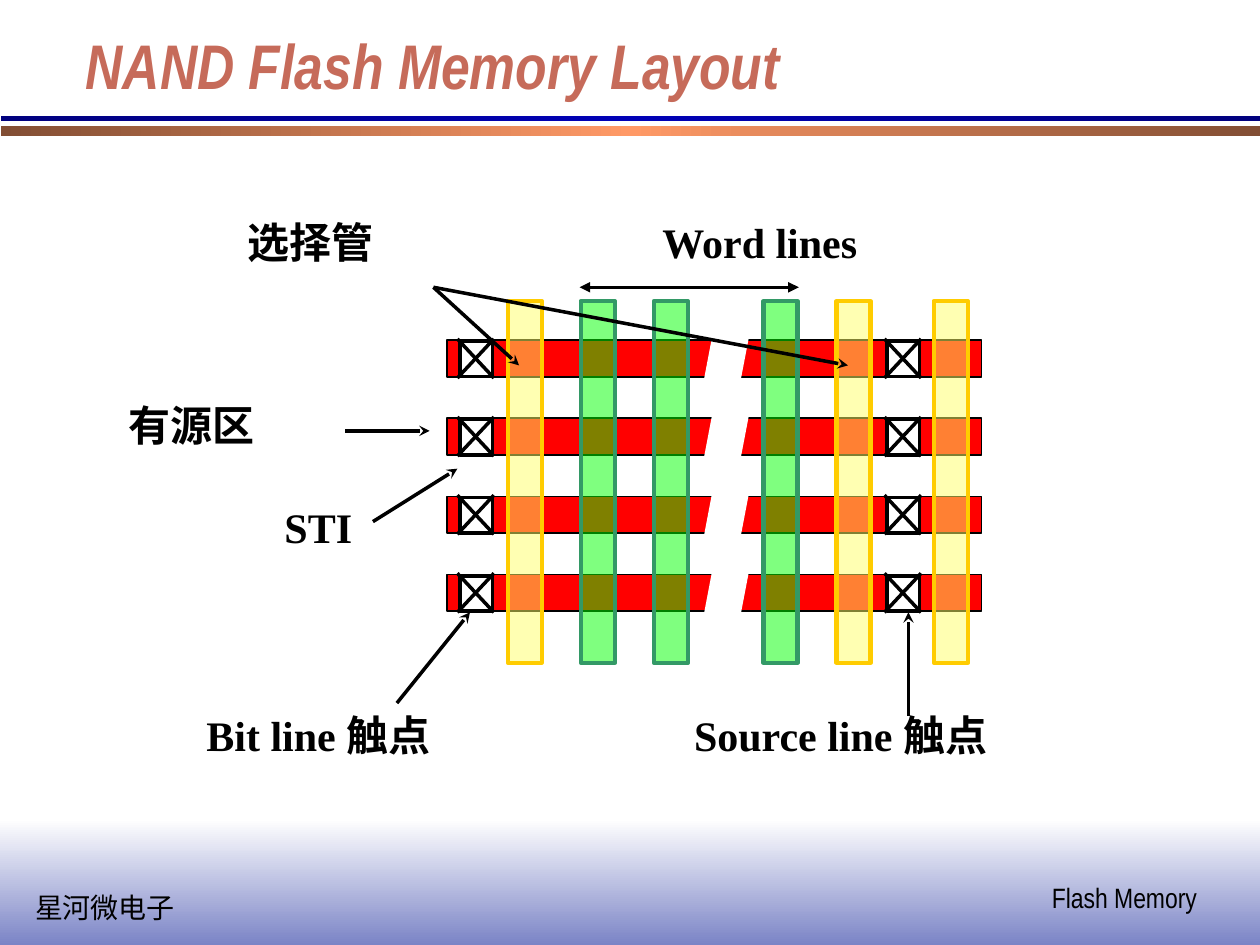
from copy import deepcopy

from lxml import etree
from pptx import Presentation
from pptx import util as u
from pptx.dml.color import RGBColor
from pptx.enum import shapes, text
from pptx.oxml.ns import qn

BLACK = RGBColor(0x00, 0x00, 0x00)
WHITE = RGBColor(0xFF, 0xFF, 0xFF)
RED = RGBColor(0xFF, 0x00, 0x00)
GREEN = RGBColor(0x00, 0xFF, 0x00)
DARK_GREEN = RGBColor(0x33, 0x99, 0x66)
YELLOW = RGBColor(0xFF, 0xFF, 0x66)
GOLD = RGBColor(0xFF, 0xCC, 0x00)
RUST = RGBColor(0xC6, 0x6B, 0x5A)
PERIWINKLE = RGBColor(0x7B, 0x84, 0xC6)
BROWN = RGBColor(0x82, 0x4E, 0x34)
ORANGE = RGBColor(0xFF, 0x99, 0x66)
NAVY = RGBColor(0x00, 0x00, 0x7E)
BLUE = RGBColor(0x00, 0x00, 0xB6)
RECT = shapes.MSO_SHAPE.RECTANGLE

prs = Presentation()
prs.slide_width, prs.slide_height = u.Inches(10), u.Inches(7.5)
s = prs.slides.add_slide(prs.slide_layouts[5])


def add_box(kind, left, top, width, height, fill=None, line=None, weight=1):
    sp = s.shapes.add_shape(kind, *map(u.Inches, (left, top, width, height)))
    sp.shadow.inherit = False
    if fill is not None:
        sp.fill.solid()
        sp.fill.fore_color.rgb = fill
    if line is None:
        sp.line.fill.background()
    else:
        sp.line.color.rgb = line
        sp.line.width = u.Pt(weight)
    return sp


def add_line(x1, y1, x2, y2, **ends):
    c = s.shapes.add_connector(shapes.MSO_CONNECTOR.STRAIGHT, *map(u.Inches, (x1, y1, x2, y2)))
    c.line.color.rgb = BLACK
    c.line.width = u.Pt(2)
    pr = c._element.spPr
    for end, arrow in ends.items():
        etree.SubElement(pr.find(qn("a:ln")), qn(f"a:{end}"), type=arrow)
    etree.SubElement(pr, qn("a:effectLst"))


for left, top, height, angle, colours in (
    (0, 6.5, 1, 270, (WHITE, PERIWINKLE)),
    (0.01, 1, 0.08, 0, (BROWN, ORANGE, BROWN)),
    (0.01, 0.92, 0.04, 0, (NAVY, BLUE, NAVY)),
):
    sp = add_box(RECT, left, top, 10 - left, height)
    sp.fill.gradient()
    sp.fill.gradient_angle = angle
    stops = sp._element.spPr.find(".//" + qn("a:gsLst"))
    if len(colours) > len(stops):
        stops.insert(1, deepcopy(stops[0]))
    for i, (stop, colour) in enumerate(zip(sp.fill.gradient_stops, colours)):
        stop.color.rgb = colour
        stop.position = i / (len(colours) - 1)

ROW, ROW_PITCH, ROW_H = 2.7, 0.62, 0.29
COL, COL_PITCH, COL_W = 4.03, 0.58, 0.27
rows = [ROW + i * ROW_PITCH for i in range(4)]

for top in rows:
    add_box(RECT, 3.55, top, 4.24, ROW_H, RED, BLACK)
    for left in (3.65, 7.04):
        add_box(RECT, left, top + 0.01, 0.26, 0.28, WHITE, BLACK, 2)
        x1, x2, y1, y2 = left - 0.02, left + 0.27, top - 0.01, top + 0.3
        add_line(x1, y1, x2, y2)
        add_line(x2, y1, x1, y2)

for col, fill, line in (
    (0, YELLOW, GOLD),
    (1, GREEN, DARK_GREEN),
    (2, GREEN, DARK_GREEN),
    (3.5, GREEN, DARK_GREEN),
    (4.5, YELLOW, GOLD),
    (5.83, YELLOW, GOLD),
):
    sp = add_box(RECT, COL + col * COL_PITCH, 2.39, COL_W, 2.87, fill, line, 2.5)
    colour = sp._element.spPr.find(qn("a:solidFill"))[0]
    etree.SubElement(colour, qn("a:alpha"), val="50000")

for top in rows:
    sp = add_box(shapes.MSO_SHAPE.PARALLELOGRAM, 5.57, top - 0.11, 0.39, 0.51, WHITE)
    sp.adjustments[0] = 0.25

add_line(4.6, 2.28, 6.34, 2.28, headEnd="triangle", tailEnd="triangle")
for ends in (
    (3.44, 2.28, 4.12, 2.9),
    (3.44, 2.28, 6.73, 2.9),
    (3.15, 5.58, 3.73, 4.86),
    (7.21, 5.68, 7.21, 4.86),
    (2.96, 4.14, 3.63, 3.72),
    (2.74, 3.42, 3.41, 3.42),
):
    add_line(*ends, tailEnd="stealth")

LABEL = {"name": "Times New Roman", "size": u.Pt(24), "bold": True}
FOOTER = {"name": "Arial Narrow", "size": u.Pt(16)}
TITLE = {"name": "Arial Narrow", "size": u.Pt(36), "bold": True, "italic": True}

title = s.shapes.title
title.left, title.top, title.width, title.height = map(u.Inches, (0.58, 0.25, 8.5, 0.61))
title.text_frame.vertical_anchor = text.MSO_ANCHOR.BOTTOM
items = [(title, "NAND Flash Memory Layout", TITLE, RUST, True)]

for words, left, top, width, height, style in (
    ("Word lines", 5.16, 1.67, 1.77, 0.5, LABEL),
    ("选择管", 1.87, 1.67, 1.2, 0.5, LABEL),
    ("Bit line 触点", 1.54, 5.58, 2.06, 0.5, LABEL),
    ("Source line 触点", 5.41, 5.58, 2.62, 0.5, LABEL),
    ("有源区", 0.92, 3.12, 1.2, 0.5, LABEL),
    ("STI", 2.16, 3.93, 0.74, 0.5, LABEL),
    ("星河微电子", 0.18, 7.02, 1.31, 0.37, FOOTER),
    ("Flash Memory", 8.25, 6.94, 1.35, 0.37, FOOTER),
):
    sp = s.shapes.add_textbox(*map(u.Inches, (left, top, width, height)))
    items.append((sp, words, style, BLACK, False))

for sp, words, style, colour, wrap in items:
    tf = sp.text_frame
    tf.word_wrap = wrap
    tf.auto_size = text.MSO_AUTO_SIZE.NONE if wrap else text.MSO_AUTO_SIZE.SHAPE_TO_FIT_TEXT
    p = tf.paragraphs[0]
    p.alignment = text.PP_ALIGN.LEFT
    r = p.add_run()
    r.text = words
    r.font.color.rgb = colour
    for key, value in style.items():
        setattr(r.font, key, value)

prs.save("out.pptx")
